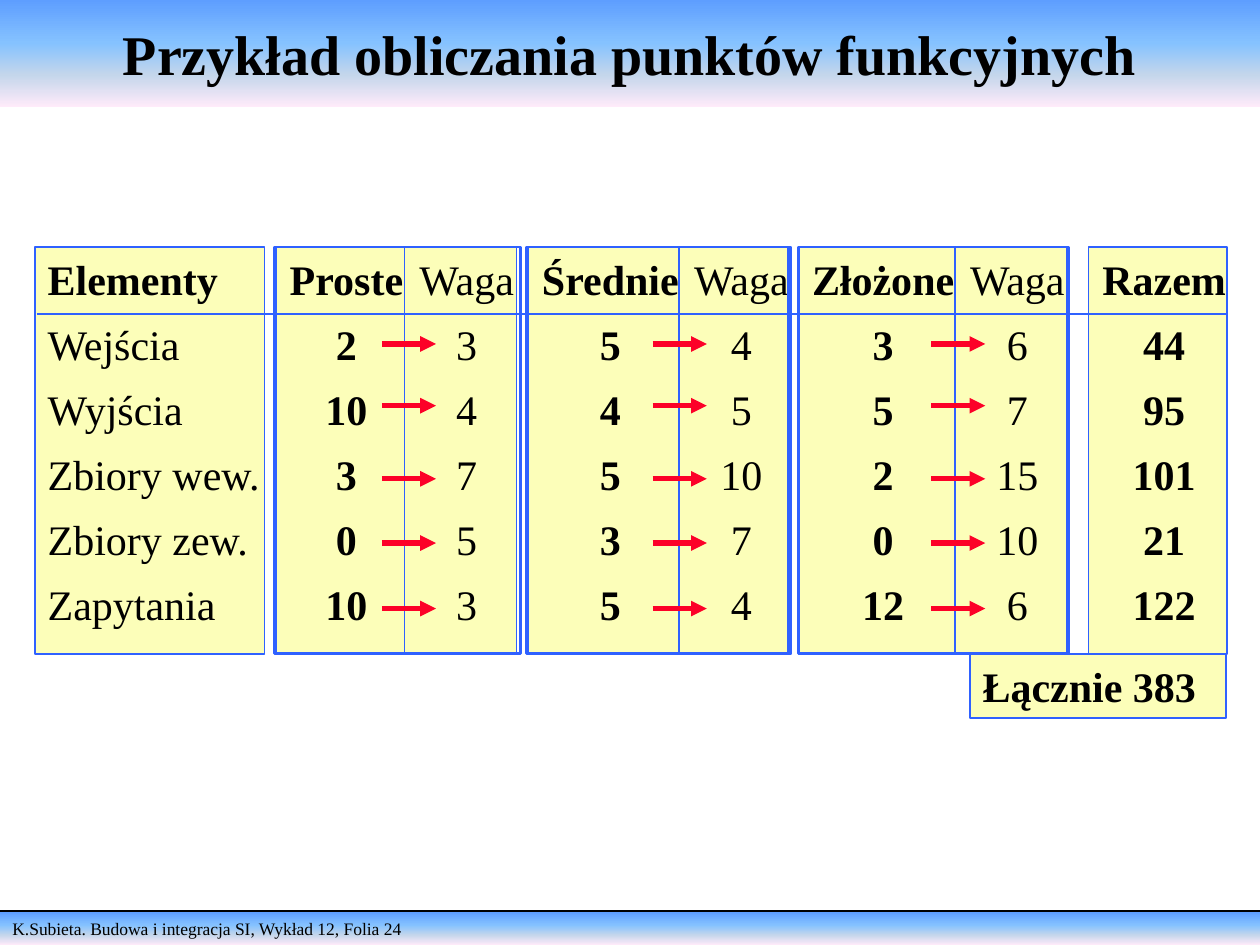
from lxml.etree import SubElement
from pptx import Presentation
from pptx.dml.color import RGBColor
from pptx.enum.shapes import MSO_CONNECTOR, MSO_SHAPE
from pptx.enum.text import MSO_ANCHOR, PP_ALIGN
from pptx.oxml.ns import qn
from pptx.util import Inches, Pt

WIDTH, HEIGHT = 10, 7.5
BLUE, YELLOW, RED, BLACK = "2F61FF", "FCFEB9", "FC0128", "000000"
BAND_STOPS = {0: "5E9EFF", 40: "85C2FF", 70: "C4D6EB", 100: "FFEBFA"}


def add_box(page, area, lines=(), fill=None, line=None, align=PP_ALIGN.LEFT,
            size=24, bold=(), gap=0, **frame_format):
    """Add a rectangle with one paragraph per line; bold flags go line by line."""
    box = page.shapes.add_shape(MSO_SHAPE.RECTANGLE, *map(Inches, area))
    box.shadow.inherit = False
    if fill == "band":
        box.fill.gradient()
        box.fill.gradient_angle = 270
        stops = box._element.spPr.find(qn("a:gradFill")).find(qn("a:gsLst"))
        for stop in list(stops):
            stops.remove(stop)
        for share, color in BAND_STOPS.items():
            stop = SubElement(stops, qn("a:gs"), pos=str(share * 1000))
            SubElement(stop, qn("a:srgbClr"), val=color)
    elif fill:
        box.fill.solid()
        box.fill.fore_color.rgb = RGBColor.from_string(fill)
    else:
        box.fill.background()
    if line:
        box.line.color.rgb = RGBColor.from_string(BLUE)
        box.line.width = Pt(line)
    else:
        box.line.fill.background()
    frame = box.text_frame
    frame_values = {"word_wrap": True, "vertical_anchor": MSO_ANCHOR.TOP, **frame_format}
    for name, value in frame_values.items():
        setattr(frame, name, value)
    for index, text in enumerate(lines):
        para = frame.paragraphs[0] if index == 0 else frame.add_paragraph()
        para.alignment = align
        para.space_after = Pt(gap)
        span = para.add_run()
        span.text = str(text)
        font_values = {"name": "Times New Roman", "size": Pt(size), "bold": bold[index]}
        for name, value in font_values.items():
            setattr(span.font, name, value)
        span.font.color.rgb = RGBColor.from_string(BLACK)


def add_line(page, left, right, y, color, width, arrow=False):
    """Add a horizontal line, with an arrowhead at its right end if asked."""
    rule = page.shapes.add_connector(
        MSO_CONNECTOR.STRAIGHT, Inches(left), Inches(y), Inches(right), Inches(y))
    rule.line.color.rgb = RGBColor.from_string(color)
    rule.line.width = Pt(width)
    if arrow:
        SubElement(rule.line._get_or_add_ln(), qn("a:tailEnd"), type="triangle")
    SubElement(rule._element.spPr, qn("a:effectLst"))


deck = Presentation()
deck.slide_width, deck.slide_height = Inches(WIDTH), Inches(HEIGHT)
page = deck.slides.add_slide(deck.slide_layouts[6])

# Footer and title bands
add_box(page, (0, 7.24, WIDTH, 0.26), ["K.Subieta. Budowa i integracja SI, Wykład 12, Folia 24"],
        fill="band", size=10, bold=[False])
add_line(page, 0, WIDTH, 7.23, BLACK, 1)
add_box(page, (0, 0, WIDTH, 0.85), ["Przykład obliczania punktów funkcyjnych"], fill="band",
        align=PP_ALIGN.CENTER, size=32, bold=[True], vertical_anchor=MSO_ANCHOR.MIDDLE)

# Columns: left, width, lines
TOP, COLUMN_HEIGHT, HEADER_BOTTOM = 1.96, 3.23, 2.49
columns = [
    (0.28, 1.82, ["Elementy", "Wejścia", "Wyjścia", "Zbiory wew.", "Zbiory zew.", "Zapytania"]),
    (2.19, 1.02, ["Proste", 2, 10, 3, 0, 10]),
    (3.21, 0.89, ["Waga", 3, 4, 7, 5, 3]),
    (4.19, 1.21, ["Średnie", 5, 4, 5, 3, 5]),
    (5.39, 0.89, ["Waga", 4, 5, 10, 7, 4]),
    (6.34, 1.24, ["Złożone", 3, 5, 2, 0, 12]),
    (7.58, 0.89, ["Waga", 6, 7, 15, 10, 6]),
    (8.64, 1.1, ["Razem", 44, 95, 101, 21, 122]),
]
for left, width, lines in columns:
    is_label, is_weight = lines[0] == "Elementy", lines[0] == "Waga"
    add_box(page, (left, TOP, width, COLUMN_HEIGHT), lines, fill=YELLOW, line=1,
            align=PP_ALIGN.LEFT if is_label else PP_ALIGN.CENTER,
            bold=[not is_weight] + [not (is_label or is_weight)] * 5,
            gap=8.4, word_wrap=False, margin_right=0)
add_box(page, (7.7, TOP + COLUMN_HEIGHT, 2.03, 0.51), ["Łącznie 383"],
        fill=YELLOW, line=1, bold=[True])
add_line(page, 0.29, 9.73, HEADER_BOTTOM, BLUE, 1)

# Frames around each count and weight pair, with arrows from count to weight
ARROW_LENGTH = 0.43
arrow_rows = [2.73, 3.22, 3.8, 4.31, 4.83]
pairs = [(2.18, 1.95, 3.03), (4.18, 2.08, 5.18), (6.34, 2.14, 7.39)]
for left, width, arrow_left in pairs:
    add_box(page, (left, TOP, width, COLUMN_HEIGHT), line=1.5)
    for y in arrow_rows:
        add_line(page, arrow_left, arrow_left + ARROW_LENGTH, y, RED, 3, arrow=True)

deck.save("out.pptx")
